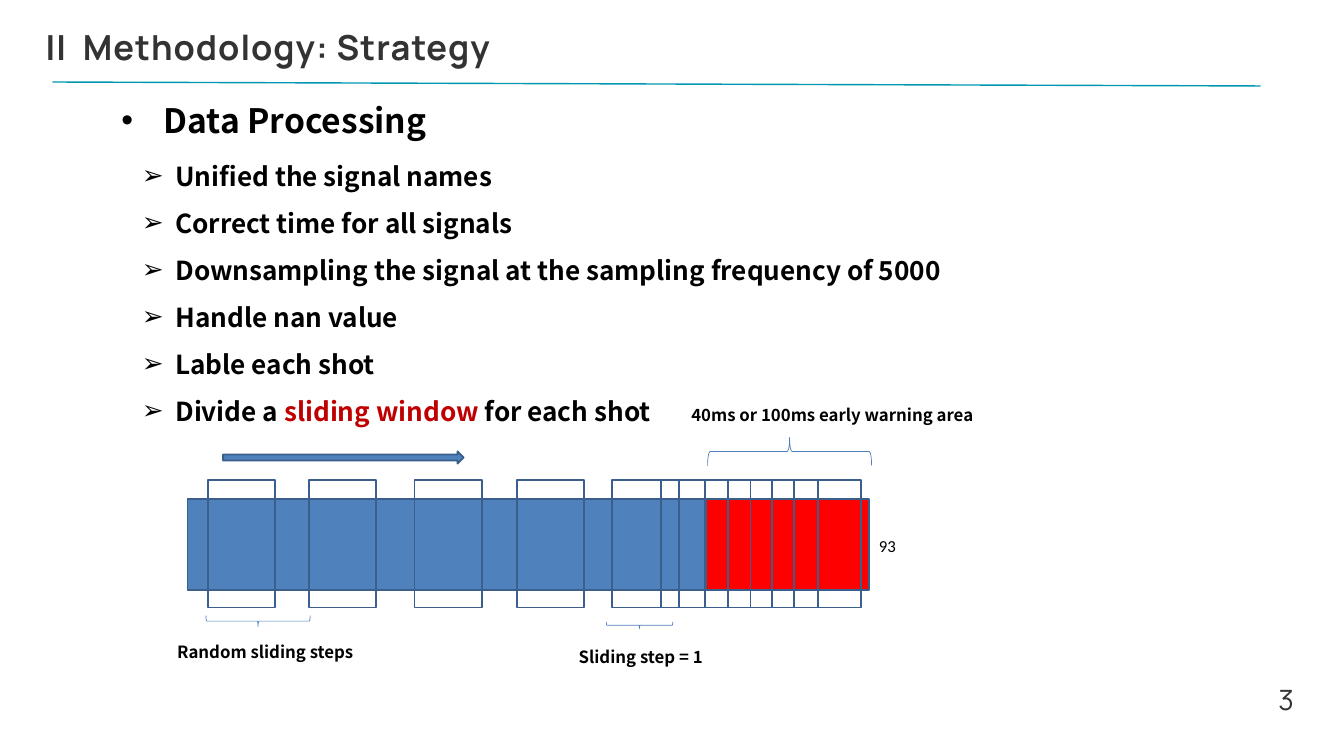
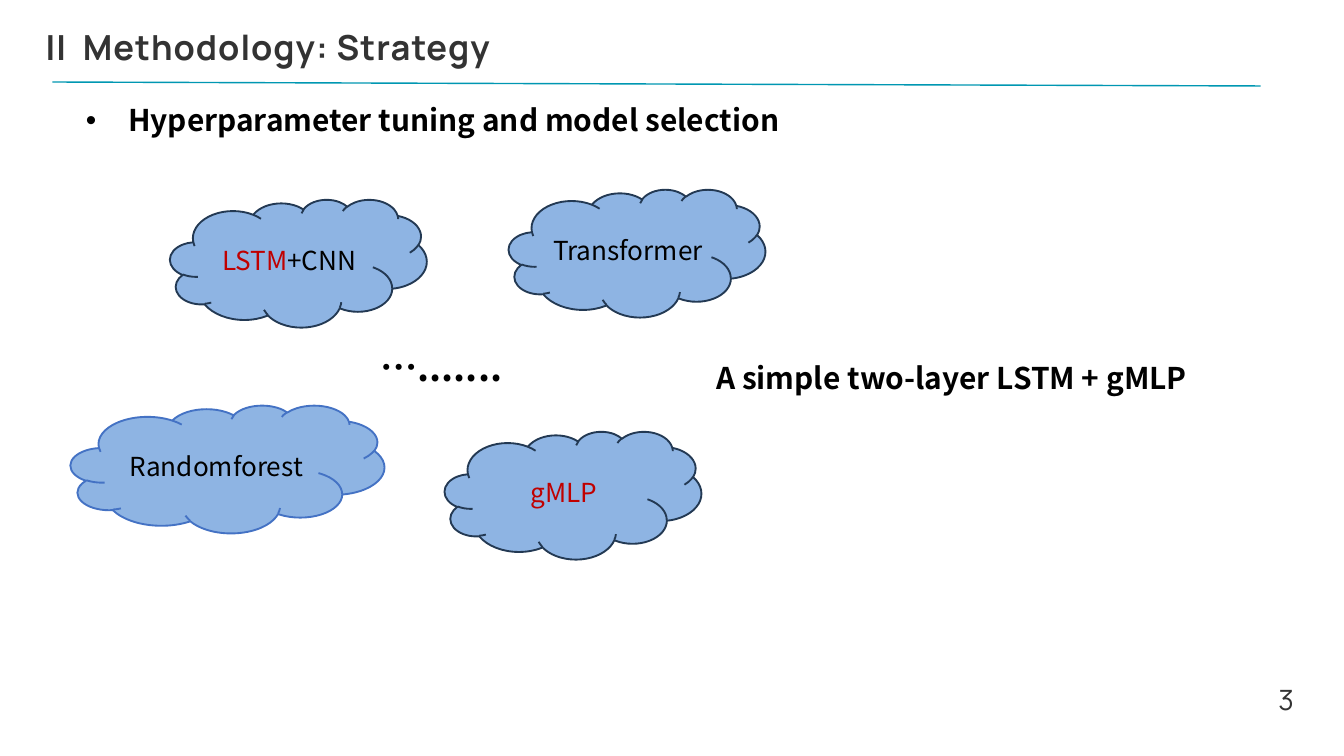
import pptx
import pptx.dml.color
import pptx.enum.shapes
import pptx.enum.text
import pptx.oxml.ns
import pptx.util
from lxml import etree

Cm = pptx.util.Cm
Pt = pptx.util.Pt
qn = pptx.oxml.ns.qn
MSO = pptx.enum.shapes.MSO_SHAPE
ALIGN = pptx.enum.text.PP_ALIGN

COLORS = {
    "rule": "0097B2", "title": "333333", "text": "000000", "accent": "C00000",
    "signal": "4F81BD", "edge": "3A5F8C", "warning": "FF0000", "brace": "4B7EBC",
    "cloud": "8EB4E3", "cloud_edge": "233953", "forest_edge": "4472C4",
}
HEAD_FONT = "Manrope"
BODY_FONT = "Noto Sans CJK SC"
NUMBER_FONT = "Calibri"

SLIDE_W, SLIDE_H = 50.8, 28.58
TITLE = "II  Methodology: Strategy"
PAGE = "3"

STEPS = [
    [("Unified the signal names", "text")],
    [("Correct time for all signals", "text")],
    [("Downsampling the signal at the sampling frequency of 5000", "text")],
    [("Handle nan value", "text")],
    [("Lable each shot", "text")],
    [("Divide a ", "text"), ("sliding window", "accent"), (" for each shot", "text")],
]
BAR_Y, BAR_H = 18.85, 3.45
SIGNAL_X, SIGNAL_W = 7.09, 25.6
WARNING_X, WARNING_W = 26.7, 6.15
WINDOW_Y, WINDOW_W, WINDOW_H = 18.14, 2.54, 4.83
RANDOM_WINDOWS = [7.85, 11.68, 15.67, 19.53]
DENSE_WINDOWS = [23.14, 24.99, 26.64, 28.37, 30.02]
BRACES = [
    ((9.55, 21.51, 0.41, 3.94), 270),
    ((24.05, 22.38, 0.25, 2.51), 270),
    ((29.31, 13.97, 1.07, 6.2), 90),
]
CAPTIONS = [
    ("Random sliding steps", (6.45, 24.13, 12.37, 1.02)),
    ("Sliding step = 1", (21.62, 24.33, 7.19, 1.02)),
    ("40ms or 100ms early warning area", (25.88, 15.19, 12.52, 1.02)),
]

CLOUD_W, CLOUD_H = 9.7, 4.83
CLOUDS = [
    ([("LSTM", "accent"), ("+CNN", "text")], 6.43, 7.54, CLOUD_W, "cloud_edge"),
    ([("gMLP", "accent")], 16.81, 16.31, CLOUD_W, "cloud_edge"),
    ([("Randomforest", "text")], 2.67, 15.32, 11.86, "forest_edge"),
    ([("Transformer", "text")], 19.23, 7.16, CLOUD_W, "cloud_edge"),
]


def rgb(name):
    return pptx.dml.color.RGBColor.from_string(COLORS[name])


def add_runs(p, runs, size, font=BODY_FONT, bold=False, spacing=None):
    for text, color in runs:
        r = p.add_run()
        r.text = text
        r.font.size = Pt(size)
        r.font.name = font
        r.font.bold = bold
        r.font.color.rgb = rgb(color)
        rPr = r.font._element
        etree.SubElement(rPr, qn("a:ea")).set("typeface", font)
        if spacing:
            rPr.set("spc", str(round(spacing * 100)))


def set_bullet(p, char, indent):
    pPr = p._p.get_or_add_pPr()
    pPr.set("marL", str(Cm(indent)))
    pPr.set("indent", str(-Cm(indent)))
    etree.SubElement(pPr, qn("a:buFont")).set("typeface", "Arial")
    etree.SubElement(pPr, qn("a:buChar")).set("char", char)


def add_text(slide, box, lines, size, font=BODY_FONT, bold=True, bullet=None,
             line_spacing=None, align=None, inset=True, spacing=None):
    sp = slide.shapes.add_textbox(*map(Cm, box))
    tf = sp.text_frame
    tf.word_wrap = True
    tf.auto_size = pptx.enum.text.MSO_AUTO_SIZE.SHAPE_TO_FIT_TEXT
    if not inset:
        tf.margin_left = tf.margin_top = tf.margin_right = tf.margin_bottom = 0
    for i, runs in enumerate(lines):
        p = tf.add_paragraph() if i else tf.paragraphs[0]
        if align is not None:
            p.alignment = align
        if line_spacing:
            p.line_spacing = line_spacing
        if bullet:
            set_bullet(p, *bullet)
        add_runs(p, runs, size, font, bold, spacing)


def add_shape(slide, kind, box, line, fill=None, width=2, rotation=0):
    sp = slide.shapes.add_shape(kind, *map(Cm, box))
    sp.shadow.inherit = False
    sp.rotation = rotation
    if fill:
        sp.fill.solid()
        sp.fill.fore_color.rgb = rgb(fill)
    else:
        sp.fill.background()
    sp.line.color.rgb = rgb(line)
    sp.line.width = Pt(width)
    return sp


def add_base(prs):
    slide = prs.slides.add_slide(prs.slide_layouts[6])
    rule = slide.shapes.add_connector(
        pptx.enum.shapes.MSO_CONNECTOR.STRAIGHT,
        Cm(1.98), Cm(3.1), Cm(47.65), Cm(3.25))
    rule.line.color.rgb = rgb("rule")
    rule.line.width = Pt(1.5)
    etree.SubElement(rule._element.spPr, qn("a:effectLst"))
    add_text(slide, (46.99, 25.37, 1.91, 1.63), [[(PAGE, "title")]], 30, HEAD_FONT,
             bold=False, line_spacing=Pt(48), align=ALIGN.RIGHT, inset=False)
    add_text(slide, (1.73, 0.97, 29.41, 1.57), [[(TITLE, "title")]], 37, HEAD_FONT,
             line_spacing=Pt(44.4), inset=False, spacing=1.1)
    return slide


def add_windows(slide, lefts):
    for x in lefts:
        add_shape(slide, MSO.RECTANGLE, (x, WINDOW_Y, WINDOW_W, WINDOW_H), "edge")


def build_processing(prs):
    slide = add_base(prs)
    add_text(slide, (4.34, 3.66, 14.48, 1.8), [[("Data Processing", "text")]], 36,
             bullet=("•", 1.59))
    add_text(slide, (5.11, 5.33, 31.83, 12.65), STEPS, 28,
             bullet=("➢", 1.27), line_spacing=1.5)
    add_shape(slide, MSO.RECTANGLE, (SIGNAL_X, BAR_Y, SIGNAL_W, BAR_H), "edge", "signal")
    add_text(slide, (32.97, 20.12, 5.05, 2.77), [[("93", "text")]], 18, NUMBER_FONT,
             bold=False)
    add_windows(slide, RANDOM_WINDOWS)
    add_shape(slide, MSO.RECTANGLE, (WARNING_X, BAR_Y, WARNING_W, BAR_H), "edge", "warning")
    add_windows(slide, DENSE_WINDOWS)
    add_shape(slide, MSO.DOWN_ARROW, (12.75, 12.75, 0.46, 9.09), "edge", "signal",
              rotation=270)
    for box, rotation in BRACES:
        add_shape(slide, MSO.LEFT_BRACE, box, "brace", width=0.75, rotation=rotation)
    for text, box in CAPTIONS:
        add_text(slide, box, [[(text, "text")]], 18)


def build_models(prs):
    slide = add_base(prs)
    add_text(slide, (3, 3.73, 33.66, 1.63),
             [[("Hyperparameter tuning and model selection", "text")]], 32,
             bullet=("•", 1.59))
    for runs, x, y, w, edge in CLOUDS:
        sp = add_shape(slide, MSO.CLOUD, (x, y, w, CLOUD_H), edge, "cloud")
        tf = sp.text_frame
        tf.word_wrap = True
        tf.vertical_anchor = pptx.enum.text.MSO_ANCHOR.MIDDLE
        p = tf.paragraphs[0]
        p.alignment = ALIGN.CENTER
        add_runs(p, runs, 28)
    add_text(slide, (14.12, 12.88, 9.09, 1.96), [[("….......", "text")]], 40)
    add_text(slide, (26.82, 13.46, 21.67, 1.63),
             [[("A simple two-layer LSTM + gMLP", "text")]], 32)


def main():
    prs = pptx.Presentation()
    prs.slide_width, prs.slide_height = Cm(SLIDE_W), Cm(SLIDE_H)
    build_processing(prs)
    build_models(prs)
    prs.save("out.pptx")


if __name__ == "__main__":
    main()
